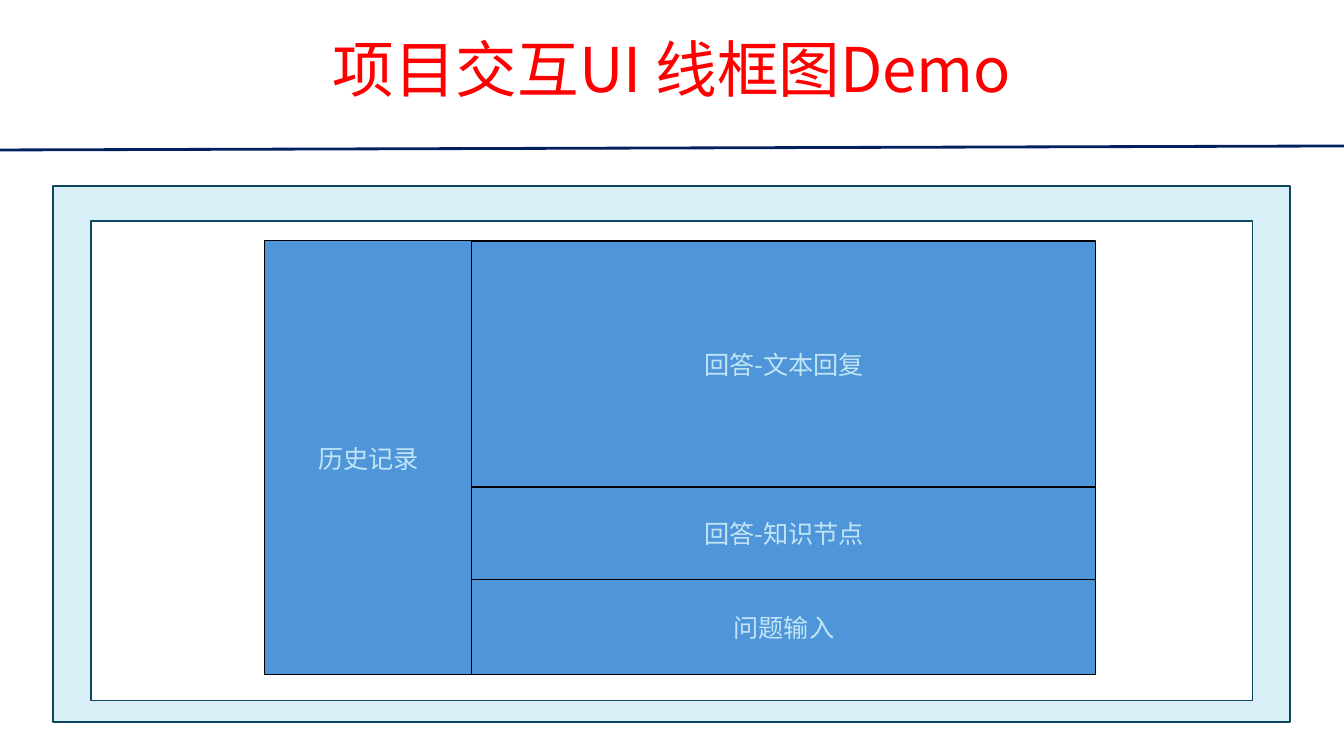
from lxml.etree import SubElement
from pptx import Presentation
from pptx.dml.color import RGBColor
from pptx.enum.shapes import MSO_CONNECTOR, MSO_SHAPE
from pptx.enum.text import MSO_ANCHOR, MSO_AUTO_SIZE, PP_ALIGN
from pptx.oxml import parse_xml
from pptx.oxml.ns import nsdecls, qn
from pptx.util import Emu, Pt

PX = 914400 / 100.8
THEME = {
    "font": "Noto Sans CJK SC", "head": 44, "label": 18,
    "red": "FF0000", "navy": "002060", "sky": "83CBEB", "edge": "104760",
    "white": "FFFFFF", "blue": "4E95D9", "black": "000000", "pale": "C1E5F5",
}
FRAME = {"auto_size": MSO_AUTO_SIZE.NONE, "word_wrap": True,
         "vertical_anchor": MSO_ANCHOR.MIDDLE}


def add_box(box, fill, line, width):
    rect = slide.shapes.add_shape(MSO_SHAPE.RECTANGLE, *[Emu(round(n * PX)) for n in box])
    rect.shadow.inherit = False
    rect.fill.solid()
    rect.fill.fore_color.rgb = RGBColor.from_string(THEME[fill])
    rect.line.color.rgb = RGBColor.from_string(THEME[line])
    rect.line.width = Pt(width)
    return rect


def set_text(shape, text, size, color):
    for key, value in FRAME.items():
        setattr(shape.text_frame, key, value)
    para = shape.text_frame.paragraphs[0]
    para.alignment = PP_ALIGN.CENTER
    run = para.add_run()
    run.text = text
    style = {"name": THEME["font"], "size": Pt(THEME[size]), "bold": False}
    for key, value in style.items():
        setattr(run.font, key, value)
    run.font.color.rgb = RGBColor.from_string(THEME[color])
    props = run.font._element
    SubElement(props, qn("a:ea"), typeface=THEME["font"])
    return para, props


# Slide
deck = Presentation()
deck.slide_width, deck.slide_height = Emu(round(1344 * PX)), Emu(round(756 * PX))
slide = deck.slides.add_slide(deck.slide_layouts[5])

# Title
title = slide.shapes.title
place = {"left": 0, "top": 0, "width": 1344, "height": 146}
for key, value in place.items():
    setattr(title, key, Emu(round(value * PX)))
para, _ = set_text(title, "项目交互UI 线框图Demo", "head", "red")
para.line_spacing = 0.9

# Rule under the title
ends = [Emu(round(n * PX)) for n in (0, 150, 1344, 146)]
rule = slide.shapes.add_connector(MSO_CONNECTOR.STRAIGHT, *ends)
rule.line.color.rgb = RGBColor.from_string(THEME["navy"])
rule.line.width = Pt(2)
SubElement(rule._element.spPr, qn("a:effectLst"))

# Window: tinted border and white page
border = add_box((53, 186, 1237, 536), "sky", "edge", 1.5)
tint = border._element.spPr.find(qn("a:solidFill"))[0]
SubElement(tint, qn("a:alpha"), val="30000")
add_box((91, 221, 1162, 480), "white", "edge", 0.75)

# Panels: history on the left, three stacked rows on the right
left, split, right = 265, 472, 1096
rows = [241, 487, 580, 675]
panels = [("历史记录", left, split, rows[0], rows[-1])]
names = ["回答-文本回复", "回答-知识节点", "问题输入"]
for name, top, base in zip(names, rows, rows[1:]):
    panels.append((name, split, right, top, base))

for name, start, end, top, base in panels:
    panel = add_box((start, top, end - start, base - top), "blue", "black", 0.75)
    _, props = set_text(panel, name, "label", "pale")
    props.insert(0, parse_xml(
        f'<a:ln {nsdecls("a")} w="9525"><a:solidFill>'
        f'<a:srgbClr val="{THEME["white"]}"/></a:solidFill></a:ln>'))

deck.save("out.pptx")
